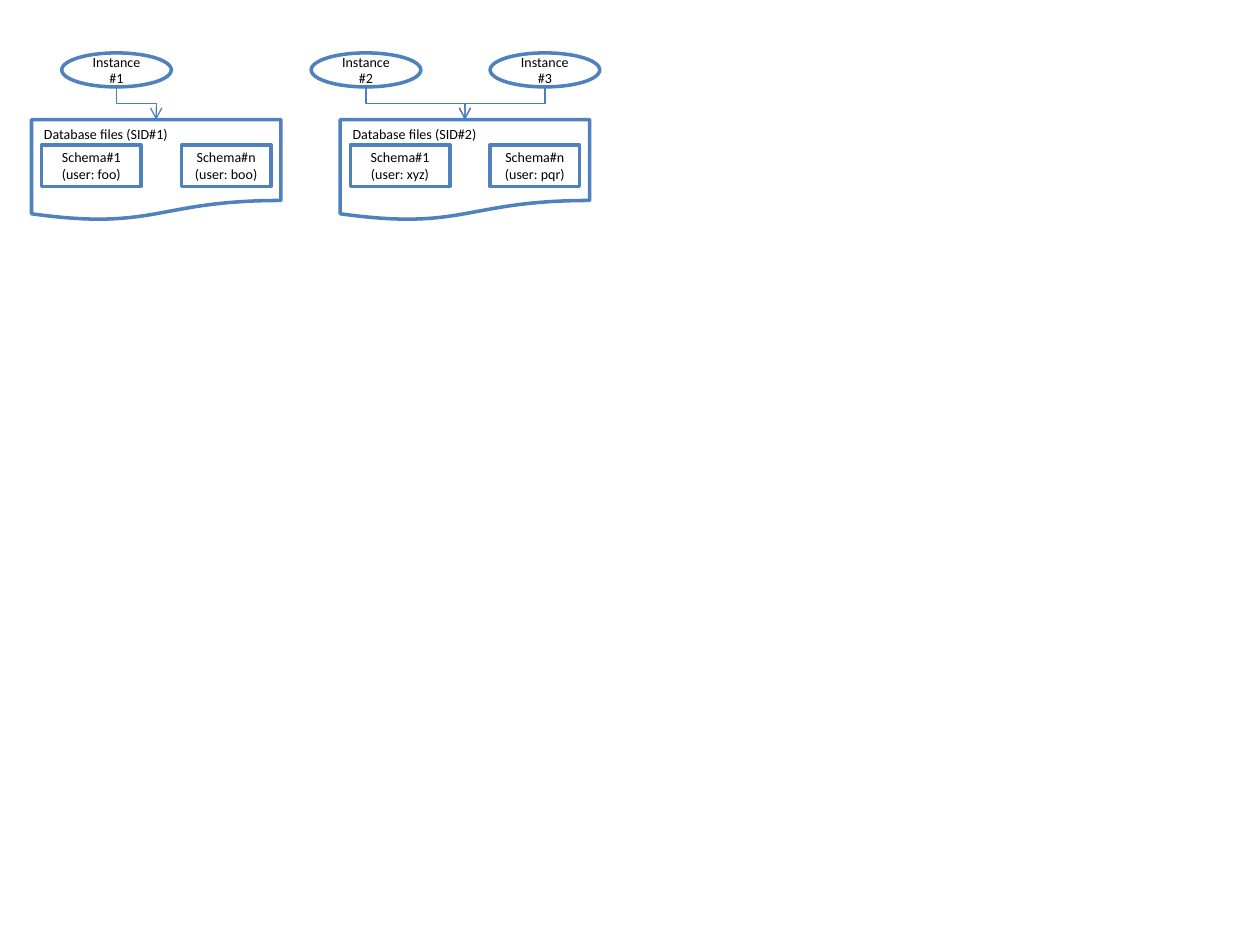
from dataclasses import dataclass

from lxml.etree import SubElement
from pptx import Presentation
from pptx.dml.color import RGBColor
from pptx.enum.shapes import MSO_CONNECTOR, MSO_SHAPE
from pptx.enum.text import MSO_ANCHOR, PP_ALIGN
from pptx.oxml.ns import qn
from pptx.shapes.autoshape import Shape
from pptx.shapes.shapetree import SlideShapes
from pptx.util import Inches, Pt


@dataclass(frozen=True)
class Theme:
    font: str = "Calibri"
    text_size: float = 8
    text: RGBColor = RGBColor(0, 0, 0)
    fill: RGBColor = RGBColor(255, 255, 255)
    outline: RGBColor = RGBColor(0x4F, 0x81, 0xBD)
    outline_width: float = 2
    arrow: RGBColor = RGBColor(0x4B, 0x7E, 0xBC)
    arrow_width: float = 0.75


@dataclass(frozen=True)
class Box:
    left: float
    top: float
    width: float
    height: float

    @property
    def center(self) -> float:
        return self.left + self.width / 2

    @property
    def bottom(self) -> float:
        return self.top + self.height


@dataclass(frozen=True)
class Instance:
    label: str
    left: float


@dataclass(frozen=True)
class Database:
    label: str
    left: float
    users: tuple[str, str]
    instances: tuple[Instance, ...]


THEME = Theme()
DATABASES = (
    Database("Database files (SID#1)", 0.25, ("foo", "boo"),
             (Instance("Instance#1", 0.49),)),
    Database("Database files (SID#2)", 2.7, ("xyz", "pqr"),
             (Instance("Instance#2", 2.47), Instance("Instance#3", 3.89))),
)
SCHEMAS = (("Schema#1", 0.08, 0.79), ("Schema#n", 1.19, 0.71))


def write_text(shape: Shape, text: str, *, align: PP_ALIGN, anchor: MSO_ANCHOR) -> None:
    frame = shape.text_frame
    frame.word_wrap = True
    frame.vertical_anchor = anchor
    paragraph = frame.paragraphs[0]
    paragraph.alignment = align
    run = paragraph.add_run()
    run.text = text
    run.font.name = THEME.font
    run.font.size = Pt(THEME.text_size)
    run.font.color.rgb = THEME.text


def draw_box(shapes: SlideShapes, kind: MSO_SHAPE, box: Box, text: str, *,
             align: PP_ALIGN = PP_ALIGN.CENTER,
             anchor: MSO_ANCHOR = MSO_ANCHOR.MIDDLE) -> None:
    shape = shapes.add_shape(kind, Inches(box.left), Inches(box.top),
                             Inches(box.width), Inches(box.height))
    shape.shadow.inherit = False
    shape.fill.solid()
    shape.fill.fore_color.rgb = THEME.fill
    shape.line.color.rgb = THEME.outline
    shape.line.width = Pt(THEME.outline_width)
    write_text(shape, text, align=align, anchor=anchor)


def draw_arrow(shapes: SlideShapes, source: Box, target: Box) -> None:
    across = target.center - source.center
    down = target.top - source.bottom
    middle_x = (source.center + target.center) / 2
    middle_y = (source.bottom + target.top) / 2
    side = 1 if across > 0 else -1
    arrow = shapes.add_connector(
        MSO_CONNECTOR.ELBOW,
        Inches(middle_x + side * down / 2), Inches(middle_y - abs(across) / 2),
        Inches(middle_x - side * down / 2), Inches(middle_y + abs(across) / 2))
    arrow.line.color.rgb = THEME.arrow
    arrow.line.width = Pt(THEME.arrow_width)
    properties = arrow._element.spPr
    properties.find(qn("a:xfrm")).set("rot", str((270 if across > 0 else 90) * 60000))
    SubElement(properties.find(qn("a:ln")), qn("a:tailEnd"), type="arrow")
    SubElement(properties, qn("a:effectLst"))


def draw_database(shapes: SlideShapes, database: Database) -> None:
    files = Box(database.left, 0.95, 1.98, 0.8)
    draw_box(shapes, MSO_SHAPE.FLOWCHART_DOCUMENT, files, database.label,
             align=PP_ALIGN.LEFT, anchor=MSO_ANCHOR.TOP)
    for (schema, offset, width), user in zip(SCHEMAS, database.users):
        draw_box(shapes, MSO_SHAPE.RECTANGLE,
                 Box(database.left + offset, 1.15, width, 0.33),
                 f"{schema} (user: {user})")
    for instance in database.instances:
        ellipse = Box(instance.left, 0.42, 0.87, 0.27)
        draw_box(shapes, MSO_SHAPE.OVAL, ellipse, instance.label)
        draw_arrow(shapes, ellipse, files)


def main() -> None:
    presentation = Presentation()
    presentation.slide_width = Inches(10)
    presentation.slide_height = Inches(7.5)
    slide = presentation.slides.add_slide(presentation.slide_layouts[6])
    for database in DATABASES:
        draw_database(slide.shapes, database)
    presentation.save("out.pptx")


main()
